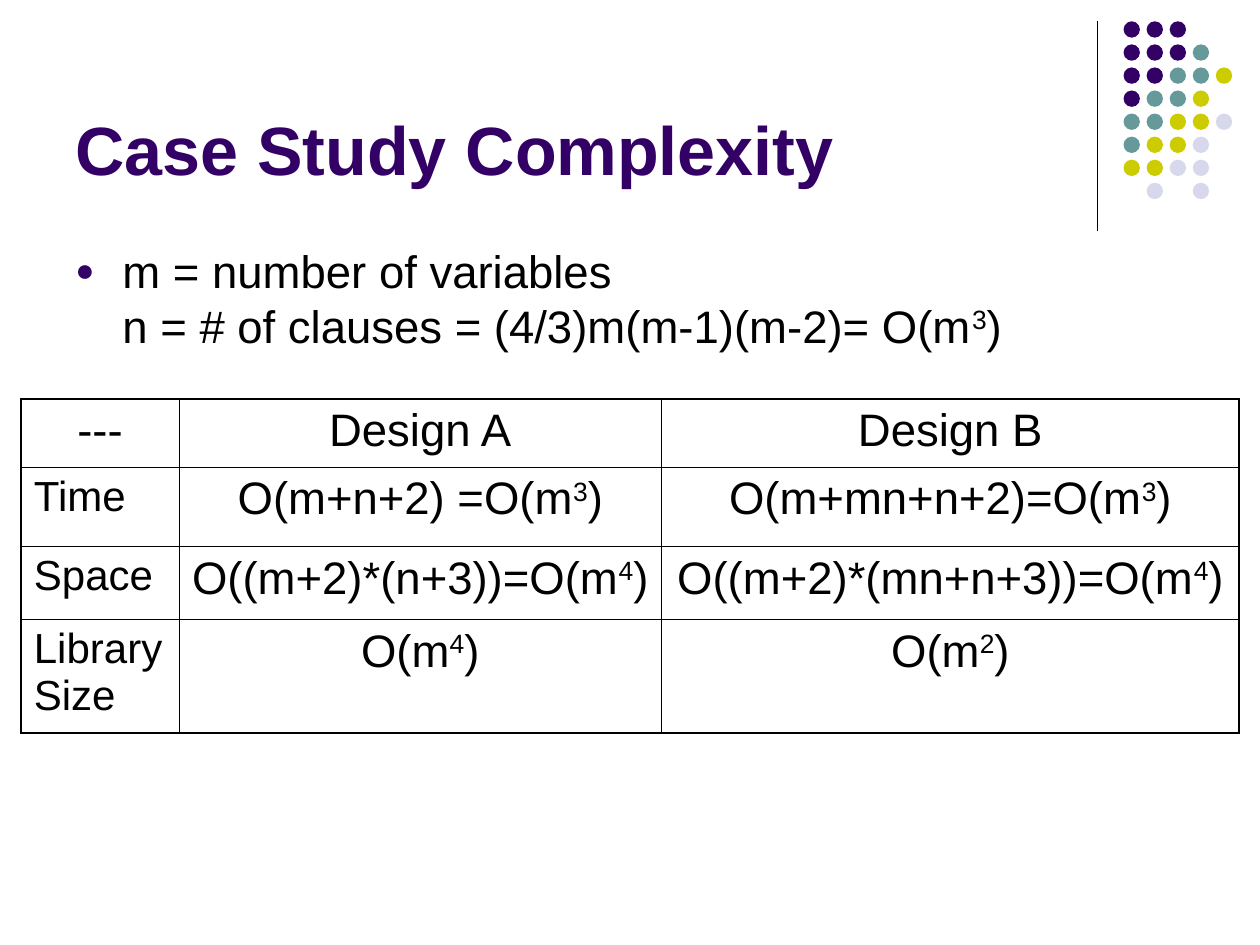
from lxml import etree
from pptx import Presentation
from pptx.dml.color import RGBColor
from pptx.enum.shapes import MSO_CONNECTOR, MSO_SHAPE
from pptx.enum.text import MSO_ANCHOR, PP_ALIGN
from pptx.oxml.ns import qn
from pptx.util import Cm, Pt

CENTER, LEFT = PP_ALIGN.CENTER, PP_ALIGN.LEFT
TOP, BOTTOM = MSO_ANCHOR.TOP, MSO_ANCHOR.BOTTOM
ELLIPSE, STRAIGHT = MSO_SHAPE.OVAL, MSO_CONNECTOR.STRAIGHT

BLACK = RGBColor(0x00, 0x00, 0x00)
PURPLE = RGBColor(0x33, 0x00, 0x66)
TEAL = RGBColor(0x66, 0x99, 0x99)
OLIVE = RGBColor(0xCC, 0xCC, 0x00)
LAVENDER = RGBColor(0xD8, 0xD8, 0xEC)

DOT_COLORS = {"P": PURPLE, "T": TEAL, "O": OLIVE, "L": LAVENDER}
DOT_ROWS = ["PPP", "PPPT", "PPTTO", "PTTO", "TTOOL", "TOOL", "OOLL", " L L"]
DOT_SIZE = Cm(0.33)

TITLE_FORMAT = {"name": "Arial", "size": Pt(39), "bold": True}
BODY_FORMAT = {"name": "Arial", "size": Pt(26), "bold": False}
LABEL_FORMAT = {"name": "Arial", "size": Pt(24), "bold": False}

BODY_TEXT = "m = number of variables\nn = # of clauses = (4/3)m(m-1)(m-2)= O(m^3)"
TABLE_ROWS = [
    ["---", "Design A", "Design B"],
    ["Time", "O(m+n+2) =O(m^3)", "O(m+mn+n+2)=O(m^3)"],
    ["Space", "O((m+2)*(n+3))=O(m^4)", "O((m+2)*(mn+n+3))=O(m^4)"],
    ["Library Size", "O(m^4)", "O(m^2)"],
]
COLUMN_SHARES = [1.25, 3.83, 4.58]
ROW_SHARES = [0.54, 0.63, 0.58, 0.9]
OUTER_WIDTH, INNER_WIDTH = Pt(1.08), Pt(0.45)


def add_run(paragraph, text, font_format, color, superscript=False):
    run = paragraph.add_run()
    run.text = text
    for name, value in font_format.items():
        setattr(run.font, name, value)
    run.font.color.rgb = color
    if superscript:
        run._r.get_or_add_rPr().set("baseline", "30000")


def write_formula(paragraph, text, font_format, color):
    for index, line in enumerate(text.split("\n")):
        if index:
            paragraph.add_line_break()
        start, *powers = line.split("^")
        add_run(paragraph, start, font_format, color)
        for power in powers:
            add_run(paragraph, power[0], font_format, color, True)
            add_run(paragraph, power[1:], font_format, color)


def add_text_box(slide, left, top, width, height, anchor):
    frame = slide.shapes.add_textbox(left, top, width, height).text_frame
    frame.word_wrap = True
    frame.vertical_anchor = anchor
    return frame.paragraphs[0]


def add_title(slide, left, top, width, height):
    paragraph = add_text_box(slide, left, top, width, height, BOTTOM)
    write_formula(paragraph, "Case Study Complexity", TITLE_FORMAT, PURPLE)


def add_body(slide, left, top, width, height):
    paragraph = add_text_box(slide, left, top, width, height, TOP)
    properties = paragraph._p.get_or_add_pPr()
    indent = Cm(0.95)
    properties.set("marL", str(indent))
    properties.set("indent", str(-indent))
    bullet_color = etree.SubElement(properties, qn("a:buClr"))
    etree.SubElement(bullet_color, qn("a:srgbClr"), val=str(PURPLE))
    etree.SubElement(properties, qn("a:buSzPct"), val="70000")
    etree.SubElement(properties, qn("a:buFont"), typeface="Arial")
    etree.SubElement(properties, qn("a:buChar"), char="●")
    write_formula(paragraph, BODY_TEXT, BODY_FORMAT, BLACK)


def add_decoration(slide, left, top, width, height):
    line = slide.shapes.add_connector(STRAIGHT, left, top, left, top + height)
    line.line.color.rgb = BLACK
    line.line.width = Pt(0.75)
    etree.SubElement(line._element.spPr, qn("a:effectLst"))

    columns = max(map(len, DOT_ROWS))
    dots_left = left + Cm(0.53)
    pitch = (left + width - dots_left - DOT_SIZE) / (columns - 1)
    group = slide.shapes.add_group_shape()
    for row, pattern in enumerate(DOT_ROWS):
        for column, key in enumerate(pattern):
            if key not in DOT_COLORS:
                continue
            dot = group.shapes.add_shape(
                ELLIPSE, int(dots_left + column * pitch), int(top + row * pitch), DOT_SIZE, DOT_SIZE
            )
            dot.shadow.inherit = False
            dot.fill.solid()
            dot.fill.fore_color.rgb = DOT_COLORS[key]
            dot.line.fill.background()


def set_borders(cell, widths):
    properties = cell._tc.get_or_add_tcPr()
    for side, width in widths.items():
        border = etree.SubElement(properties, qn(f"a:ln{side}"), w=str(width))
        fill = etree.SubElement(border, qn("a:solidFill"))
        etree.SubElement(fill, qn("a:srgbClr"), val=str(BLACK))


def add_complexity_table(slide, left, top, width, height):
    row_count, column_count = len(TABLE_ROWS), len(COLUMN_SHARES)
    table = slide.shapes.add_table(row_count, column_count, left, top, width, height).table
    table.first_row = table.horz_banding = False
    for column, share in zip(table.columns, COLUMN_SHARES):
        column.width = int(width * share / sum(COLUMN_SHARES))
    for row, share in zip(table.rows, ROW_SHARES):
        row.height = int(height * share / sum(ROW_SHARES))
    for row, texts in enumerate(TABLE_ROWS):
        for column, text in enumerate(texts):
            cell = table.cell(row, column)
            outer_sides = {
                "L": column == 0,
                "R": column == column_count - 1,
                "T": row == 0,
                "B": row == row_count - 1,
            }
            set_borders(cell, {
                side: OUTER_WIDTH if outer else INNER_WIDTH
                for side, outer in outer_sides.items()
            })
            cell.fill.background()
            is_label = column == 0 and row > 0
            paragraph = cell.text_frame.paragraphs[0]
            paragraph.alignment = LEFT if is_label else CENTER
            write_formula(paragraph, text, LABEL_FORMAT if is_label else BODY_FORMAT, BLACK)


def main():
    presentation = Presentation()
    presentation.slide_width, presentation.slide_height = Cm(25.4), Cm(19.05)
    slide = presentation.slides.add_slide(presentation.slide_layouts[6])
    add_decoration(slide, Cm(22.12), Cm(0.43), Cm(2.72), Cm(4.22))
    add_title(slide, Cm(1.27), Cm(0.33), Cm(20.96), Cm(3.6))
    add_body(slide, Cm(1.27), Cm(4.78), Cm(19.48), Cm(2.84))
    add_complexity_table(slide, Cm(0.43), Cm(8.05), Cm(24.55), Cm(6.73))
    presentation.save("out.pptx")


if __name__ == "__main__":
    main()
